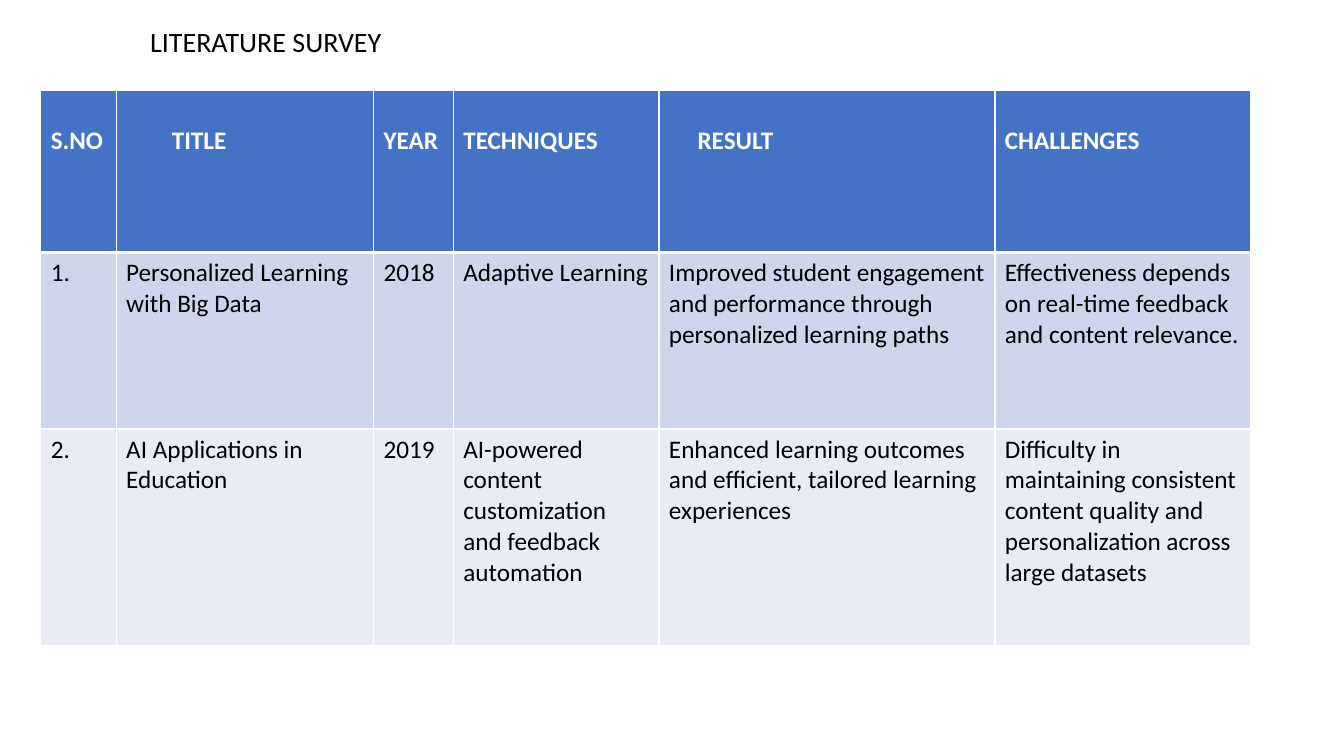
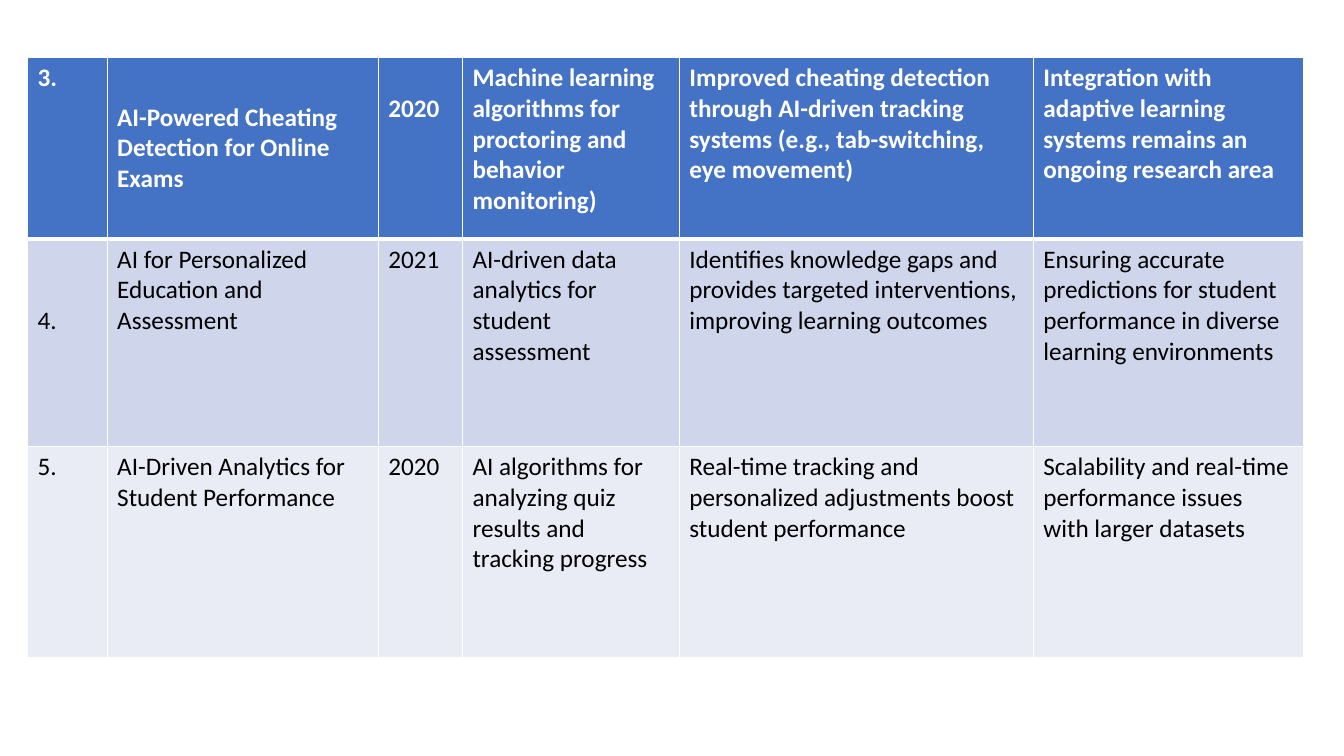
from lxml import etree
from pptx import Presentation
from pptx.dml.color import RGBColor
from pptx.enum import text
from pptx.oxml import ns
from pptx.util import Cm, Pt

FONT = "Calibri"
WHITE, BLACK = "FFFFFF", "000000"
ROW_FILLS = ["4472C4", "CFD5EA", "E9EBF5"]
COLUMN_WIDTHS = [1.9, 6.48, 2.01, 5.18, 8.46, 6.45]
ONE_LINE_DOWN, TWO_LINES_DOWN = 0.9, 1.68


def set_font(font, size, color, bold=False):
    font.name = FONT
    font.size = Pt(size)
    font.bold = bold
    font.color.rgb = RGBColor.from_string(color)


def set_borders(cell, top, bottom):
    properties = cell._tc.get_or_add_tcPr()
    for side, width in (("L", 1), ("R", 1), ("T", top), ("B", bottom)):
        line = etree.SubElement(properties, ns.qn("a:ln" + side), w=str(Pt(width)))
        fill = etree.SubElement(line, ns.qn("a:solidFill"))
        etree.SubElement(fill, ns.qn("a:srgbClr"), val=WHITE)


surveys = [
    {
        "title": "LITERATURE SURVEY",
        "left": 1.03, "top": 2.27, "width": 30.5,
        "heights": [4.09, 4.45, 5.46],
        "top_margins": {(0, column): ONE_LINE_DOWN for column in range(6)},
        "left_margins": {(0, 1): 1.4, (0, 4): 0.97},
        "middle": [],
        "rows": [
            ["S.NO", "TITLE", "YEAR", "TECHNIQUES", "RESULT", "CHALLENGES"],
            ["1.", "Personalized Learning with Big Data", "2018", "Adaptive Learning",
             "Improved student engagement and performance through personalized learning paths",
             "Effectiveness depends on real-time feedback and content relevance."],
            ["2.", "AI Applications in Education", "2019",
             "AI-powered content customization and feedback automation",
             "Enhanced learning outcomes and efficient, tailored learning experiences",
             "Difficulty in maintaining consistent content quality and personalization "
             "across large datasets"],
        ],
    },
    {
        "title": None,
        "left": 0.7, "top": 1.45, "width": 32.15,
        "heights": [4.57, 5.23, 5.33],
        "top_margins": {(0, 2): ONE_LINE_DOWN, (1, 0): TWO_LINES_DOWN},
        "left_margins": {},
        "middle": [(0, 1)],
        "rows": [
            ["3.", "AI-Powered Cheating Detection for Online Exams", "2020",
             "Machine learning algorithms for proctoring and behavior monitoring)",
             "Improved cheating detection through AI-driven tracking systems "
             "(e.g., tab-switching, eye movement)",
             "Integration with adaptive learning systems remains an ongoing research area"],
            ["4.", "AI for Personalized Education and Assessment", "2021",
             "AI-driven data analytics for student assessment",
             "Identifies knowledge gaps and provides targeted interventions, "
             "improving learning outcomes",
             "Ensuring accurate predictions for student performance in diverse "
             "learning environments"],
            ["5.", "AI-Driven Analytics for Student Performance", "2020",
             "AI algorithms for analyzing quiz results and tracking progress",
             "Real-time tracking and personalized adjustments boost student performance",
             "Scalability and real-time performance issues with larger datasets"],
        ],
    },
]

deck = Presentation()
deck.slide_width, deck.slide_height = Cm(33.87), Cm(19.05)
title_only = deck.slide_layouts.get_by_name("Title Only")
blank = deck.slide_layouts.get_by_name("Blank")

for survey in surveys:
    page = deck.slides.add_slide(title_only if survey["title"] else blank)
    if survey["title"]:
        title = page.shapes.title
        title.left, title.top, title.width, title.height = Cm(3.53), Cm(0.48), Cm(14.83), Cm(1.12)
        title.text_frame.text = survey["title"]
        title.text_frame.auto_size = text.MSO_AUTO_SIZE.NONE
        title.text_frame.vertical_anchor = text.MSO_ANCHOR.TOP
        para = title.text_frame.paragraphs[0]
        para.alignment = text.PP_ALIGN.LEFT
        set_font(para.font, 20, BLACK)

    rows, heights = survey["rows"], survey["heights"]
    table = page.shapes.add_table(
        len(rows), len(COLUMN_WIDTHS), Cm(survey["left"]), Cm(survey["top"]),
        Cm(survey["width"]), Cm(sum(heights))).table
    table.horz_banding = False
    scale = survey["width"] / sum(COLUMN_WIDTHS)
    for column, width in zip(table.columns, COLUMN_WIDTHS):
        column.width = Cm(width * scale)

    for r, words in enumerate(rows):
        table.rows[r].height = Cm(heights[r])
        is_header = r == 0
        for c, word in enumerate(words):
            cell = table.cell(r, c)
            set_borders(cell, top=3 if r == 1 else 1, bottom=3 if is_header else 1)
            cell.fill.solid()
            cell.fill.fore_color.rgb = RGBColor.from_string(ROW_FILLS[r])
            cell.margin_top = Cm(survey["top_margins"].get((r, c), 0.13))
            cell.margin_left = Cm(survey["left_margins"].get((r, c), 0.25))
            if (r, c) in survey["middle"]:
                cell.vertical_anchor = text.MSO_ANCHOR.MIDDLE
            cell.text = word
            set_font(cell.text_frame.paragraphs[0].font, 18,
                     WHITE if is_header else BLACK, bold=is_header)

deck.save("out.pptx")
